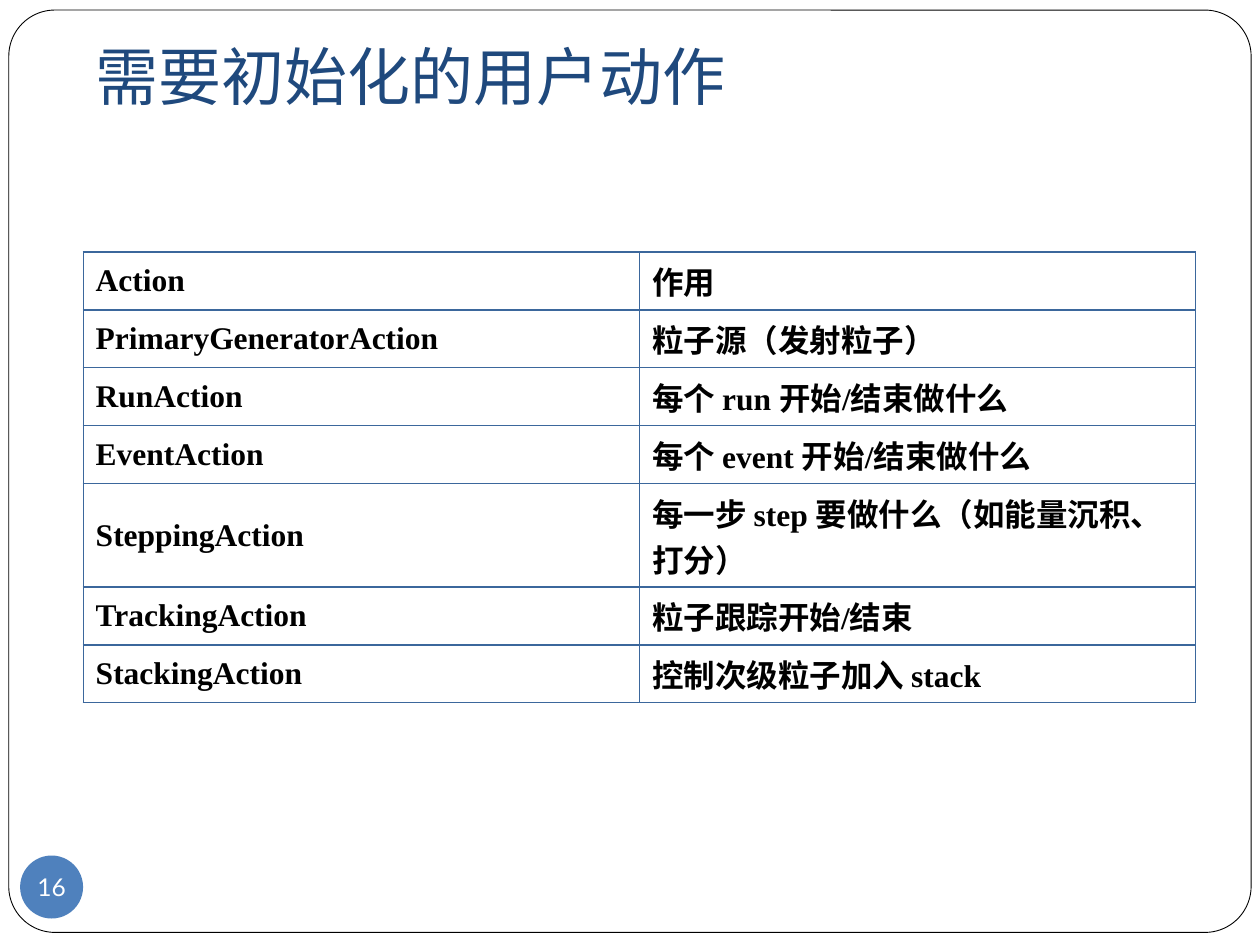
import dataclasses

import lxml.etree
import pptx
import pptx.dml.color
import pptx.enum.shapes
import pptx.enum.text
import pptx.oxml.ns
import pptx.util

Inch = pptx.util.Inches
Kind = pptx.enum.shapes.MSO_SHAPE
Anchor = pptx.enum.text.MSO_ANCHOR
Align = pptx.enum.text.PP_ALIGN


@dataclasses.dataclass(frozen=True)
class Theme:
    white: str = "FFFFFF"
    ink: str = "000000"
    navy: str = "1F497D"
    blue: str = "4F81BD"
    rule: str = "3B679C"
    sans: str = "Lato"
    serif: str = "Times New Roman"
    title: int = 36
    body: int = 18
    page: int = 14
    thin: float = 0.5
    edge: float = 0.75


THEME = Theme()
WIDE, HIGH = 10, 7.5
LEFT, SPAN = 0.66, 8.83  # content column
ROW, TALL = 0.46, 0.82   # one-line and two-line rows

ROWS = [
    ("Action", "作用"),
    ("PrimaryGeneratorAction", "粒子源（发射粒子）"),
    ("RunAction", "每个 run 开始/结束做什么"),
    ("EventAction", "每个 event 开始/结束做什么"),
    ("SteppingAction", "每一步 step 要做什么（如能量沉积、打分）"),
    ("TrackingAction", "粒子跟踪开始/结束"),
    ("StackingAction", "控制次级粒子加入 stack"),
]


def color(code):
    return pptx.dml.color.RGBColor.from_string(code)


def write(frame, text, face, size, tone, bold=False):
    para = frame.paragraphs[0]
    para.text = text
    font = para.font
    font.name, font.size, font.bold = face, pptx.util.Pt(size), bold
    font.color.rgb = color(tone)
    return para


def inset(frame, left, top, right, bottom):
    frame.margin_left, frame.margin_top = Inch(left), Inch(top)
    frame.margin_right, frame.margin_bottom = Inch(right), Inch(bottom)


def add_form(slide, kind, box, fill):
    form = slide.shapes.add_shape(kind, *map(Inch, box))
    form.shadow.inherit = False
    form.fill.solid()
    form.fill.fore_color.rgb = color(fill)
    form.line.fill.background()
    return form


def add_frame(slide):
    form = add_form(slide, Kind.ROUNDED_RECTANGLE,
                    (0.07, 0.08, WIDE - 0.14, 7.32), THEME.white)
    form.adjustments[0] = 0.05
    form.line.color.rgb = color(THEME.ink)
    form.line.width = pptx.util.Pt(THEME.thin)


def add_title(slide, text):
    box = slide.shapes.add_textbox(*map(Inch, (LEFT, 0.3, SPAN, 0.7)))
    frame = box.text_frame
    frame.word_wrap = True
    frame.vertical_anchor = Anchor.BOTTOM
    inset(frame, 0.1, 0.05, 0.1, 0.1)
    write(frame, text, THEME.sans, THEME.title, THEME.navy)


def add_badge(slide, text):
    form = add_form(slide, Kind.OVAL, (0.16, 6.79, 0.5, 0.5), THEME.blue)
    frame = form.text_frame
    frame.word_wrap = False
    frame.vertical_anchor = Anchor.MIDDLE
    inset(frame, 0, 0, 0, 0)
    para = write(frame, text, THEME.sans, THEME.page, THEME.white)
    para.alignment = Align.CENTER


def add_edges(cell):
    name = pptx.oxml.ns.qn
    props = cell._tc.get_or_add_tcPr()
    # Edges must come before the cell fill
    for spot, side in enumerate(("lnL", "lnR", "lnT", "lnB")):
        line = lxml.etree.Element(name("a:" + side))
        line.set("w", str(int(pptx.util.Pt(THEME.edge))))
        fill = lxml.etree.SubElement(line, name("a:solidFill"))
        lxml.etree.SubElement(fill, name("a:srgbClr")).set("val", THEME.rule)
        props.insert(spot, line)


def add_grid(slide, rows):
    highs = [TALL if len(note) > 20 else ROW for _, note in rows]
    box = (LEFT, 2, SPAN, sum(highs))
    grid = slide.shapes.add_table(len(rows), 2, *map(Inch, box)).table
    grid.first_row = grid.horz_banding = False
    for line, high, texts in zip(grid.rows, highs, rows):
        line.height = Inch(high)
        for cell, text in zip(line.cells, texts):
            cell.fill.background()
            cell.vertical_anchor = Anchor.MIDDLE
            add_edges(cell)
            write(cell.text_frame, text, THEME.serif, THEME.body,
                  THEME.ink, bold=True)


def main():
    deck = pptx.Presentation()
    deck.slide_width, deck.slide_height = Inch(WIDE), Inch(HIGH)
    slide = deck.slides.add_slide(deck.slide_layouts[6])

    # Border, heading and page number
    add_frame(slide)
    add_title(slide, "需要初始化的用户动作")
    add_badge(slide, "16")

    # Table of user actions
    add_grid(slide, ROWS)
    deck.save("out.pptx")


if __name__ == "__main__":
    main()
